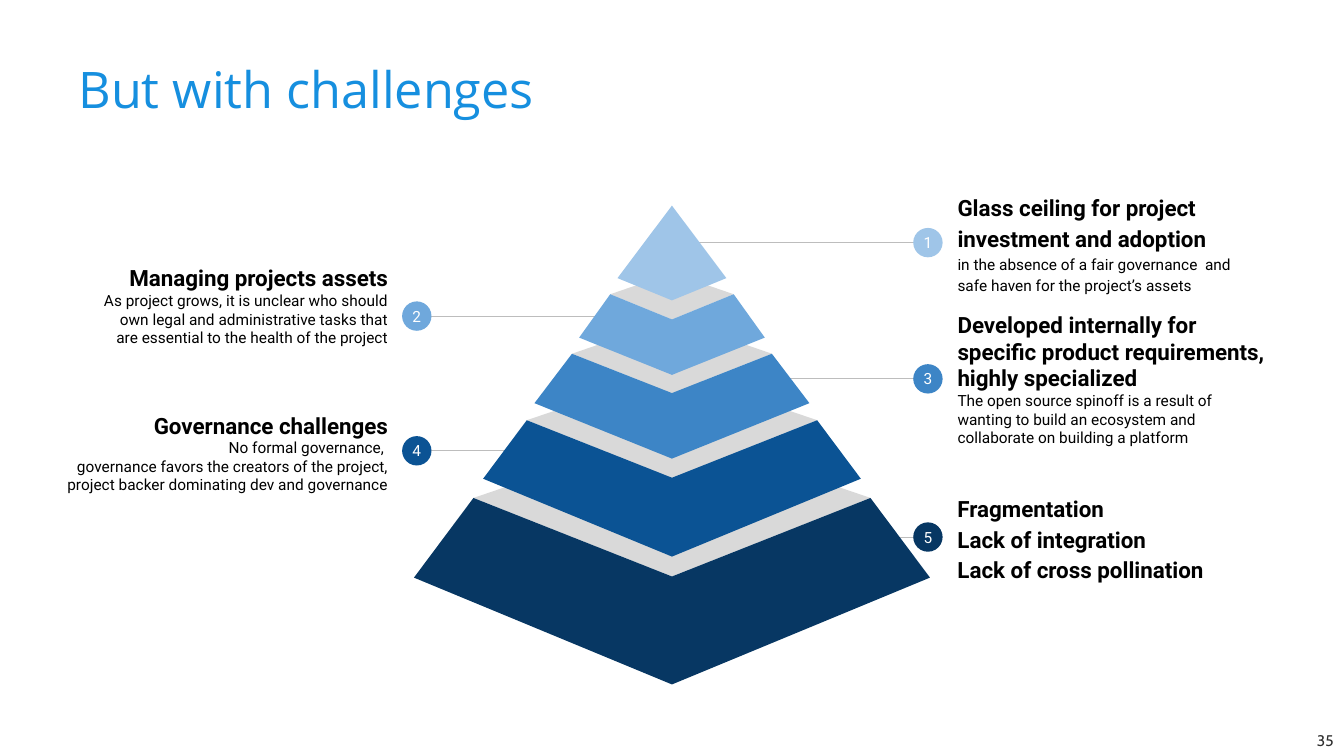
import pptx
import pptx.util
import pptx.dml.color
import pptx.enum.shapes
import pptx.enum.text
import pptx.oxml

Pt = pptx.util.Pt
ALIGN = pptx.enum.text.PP_ALIGN
ANCHOR = pptx.enum.text.MSO_ANCHOR
SHAPE = pptx.enum.shapes.MSO_SHAPE

TITLE = "But with challenges"
PAGE_NUMBER = "35"
TIER_COLORS = ["9FC5E8", "6FA8DC", "3D85C6", "0B5394", "073763"]
CAP_COLOR = "D9D9D9"
AXIS = 480

# cap top, upper half-width, upper y, valley y, lower half-width, lower y, tip y
TIERS = [
    (None, 0, 146.9, 146.9, 38.9, 198.7, 214.6),
    (195.1, 44.1, 210.2, 228.2, 66.3, 241.2, 267.8),
    (228.2, 71.4, 252.7, 280.8, 98.2, 288, 327.6),
    (265, 103.7, 300.2, 341.3, 134.9, 342, 397.6),
    (307.4, 141.8, 355.7, 411.8, 184.3, 412.6, 488.9),
]

# side, badge y, line start, text width, lift, [(text, is heading, line spacing)]
CALLOUTS = [
    ("right", 173.3, 496.8, 223, 0, [
        ("Glass ceiling for project investment and adoption", True, 1.15),
        ("in the absence of a fair governance  and safe haven for the project’s assets", False, 1.15)]),
    ("left", 225.8, 427.7, 223, 7.4, [
        ("Managing projects assets", True, 1),
        ("As project grows, it is unclear who should own legal and administrative tasks "
         "that are essential to the health of the project", False, 1)]),
    ("right", 270.6, 553, 240, 0, [
        ("Developed internally for specific product requirements, highly specialized", True, 1),
        ("The open source spinoff is a result of wanting to build an ecosystem and "
         "collaborate on building a platform", False, 1)]),
    ("left", 322, 380.9, 257, 0, [
        ("Governance challenges", True, 1.15),
        ("No formal governance, ", False, 1),
        ("governance favors the creators of the project,", False, 1),
        ("project backer dominating dev and governance", False, 1)]),
    ("right", 383.6, 606.2, 257, 0, [
        ("Fragmentation", True, 1.15),
        ("Lack of integration", True, 1.15),
        ("Lack of cross pollination", True, 1.15)]),
]
BADGE_X = {"left": 297.7, "right": 662.8}
BADGE_SIZE = 21
TEXT_EDGE = {"left": 286.6, "right": 674.6}
TEXT_HEIGHT = 78.5


def color(value):
    return pptx.dml.color.RGBColor.from_string(value)


def paint(shape, fill):
    shape.shadow.inherit = False
    shape.fill.solid()
    shape.fill.fore_color.rgb = color(fill)
    shape.line.fill.background()


def write(shape, lines, align, margins):
    frame = shape.text_frame
    frame.word_wrap = True
    frame.vertical_anchor = ANCHOR.MIDDLE
    frame.margin_left = frame.margin_right = Pt(margins[0])
    frame.margin_top = frame.margin_bottom = Pt(margins[1])
    frame.text = "\n".join(line[0] for line in lines)
    for para, (text, font, size, ink, bold, spacing) in zip(frame.paragraphs, lines):
        para.alignment = align
        para.line_spacing = spacing
        for span in para.runs:
            span.font.name = font
            span.font.size = Pt(size)
            span.font.bold = bold
            span.font.color.rgb = color(ink)


def add_text(left, top, width, height, lines, align, margins):
    box = page.shapes.add_textbox(Pt(left), Pt(top), Pt(width), Pt(height))
    write(box, lines, align, margins)


def add_outline(group, points, fill):
    corners = [(Pt(x), Pt(y)) for x, y in points]
    builder = group.shapes.build_freeform(*corners[0])
    builder.add_line_segments(corners[1:], close=True)
    paint(builder.convert_to_shape(), fill)


def add_callout(number, side, middle, line_start, width, lift, lines):
    center = BADGE_X[side]
    line = page.shapes.add_connector(
        pptx.enum.shapes.MSO_CONNECTOR.STRAIGHT,
        Pt(line_start), Pt(middle), Pt(center), Pt(middle))
    line.line.color.rgb = color("BDBDBD")
    line.line.width = Pt(0.75)
    effects = pptx.oxml.parse_xml(
        '<a:effectLst xmlns:a="http://schemas.openxmlformats.org/drawingml/2006/main"/>')
    line._element.spPr.append(effects)

    badge = page.shapes.add_shape(
        SHAPE.OVAL, Pt(center - BADGE_SIZE / 2), Pt(middle - BADGE_SIZE / 2),
        Pt(BADGE_SIZE), Pt(BADGE_SIZE))
    paint(badge, TIER_COLORS[number - 1])
    write(badge, [(str(number), "Roboto", 11, "FFFFFF", False, 1)], ALIGN.CENTER, (0, 0))

    on_left = side == "left"
    left = TEXT_EDGE[side] - (width if on_left else 0)
    styled = [(text, "Roboto", 16 if heading else 11, "000000", heading, spacing)
              for text, heading, spacing in lines]
    add_text(left, middle - TEXT_HEIGHT / 2 - lift, width, TEXT_HEIGHT, styled,
             ALIGN.RIGHT if on_left else ALIGN.LEFT, (9.36, 9.36))


deck = pptx.Presentation()
deck.slide_width, deck.slide_height = Pt(960), Pt(540)
page = deck.slides.add_slide(deck.slide_layouts[6])

add_text(49, 28.8, 861, 73.4, [(TITLE, "Open Sans", 36, "168FDF", False, 0.9)],
         ALIGN.LEFT, (7.2, 3.6))

for number, callout in enumerate(CALLOUTS, 1):
    add_callout(number, *callout)

pyramid = page.shapes.add_group_shape()
for tier, fill in reversed(list(zip(TIERS, TIER_COLORS))):
    cap, upper, upper_y, valley, lower, lower_y, tip = tier
    if cap is not None:
        add_outline(pyramid, [(AXIS - upper, upper_y), (AXIS, valley),
                              (AXIS + upper, upper_y), (AXIS, cap)], CAP_COLOR)
    for sign in (-1, 1):
        face = [(AXIS + sign * upper, upper_y), (AXIS, valley),
                (AXIS, tip), (AXIS + sign * lower, lower_y)]
        add_outline(pyramid, list(dict.fromkeys(face)), fill)

add_text(931, 518.4, 28.8, 21.6, [(PAGE_NUMBER, "Cabin", 11, "2F2F2F", False, 1)],
         ALIGN.RIGHT, (7.2, 3.6))

deck.save("out.pptx")
